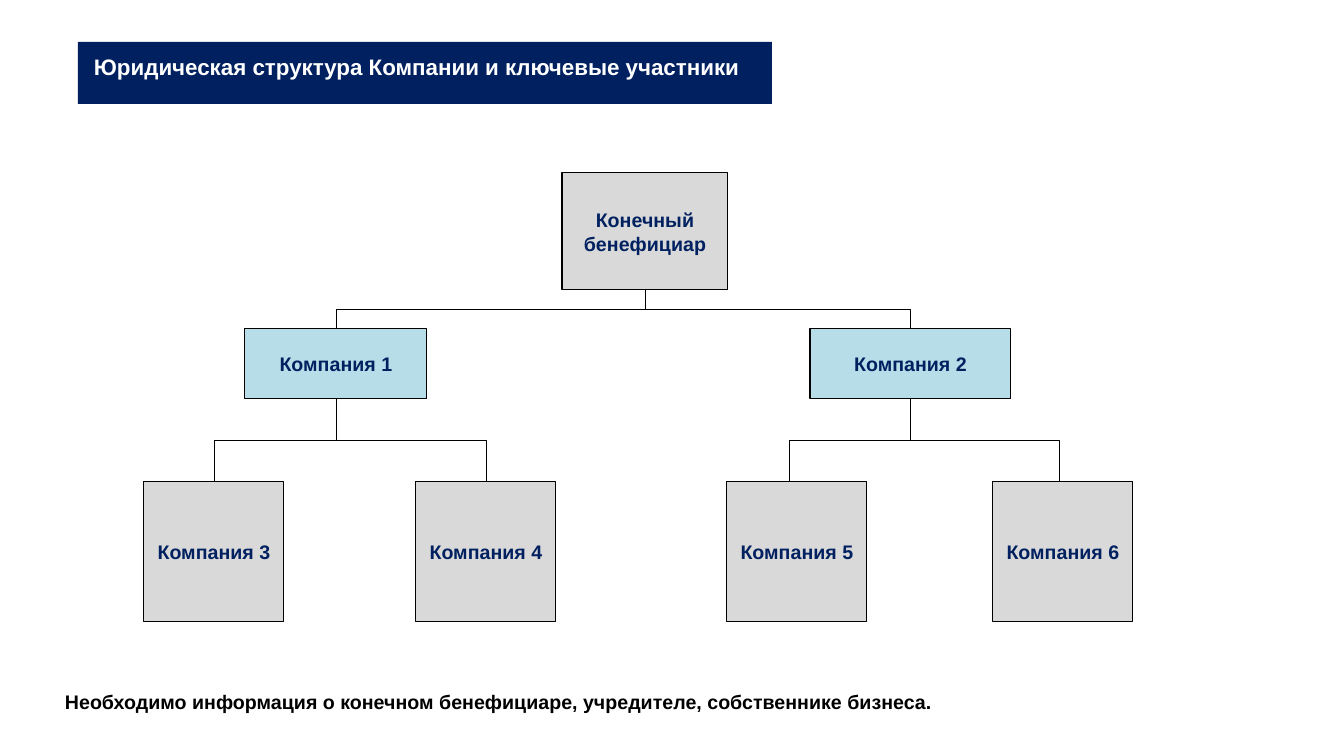
from dataclasses import dataclass

from lxml.etree import SubElement
from pptx import Presentation
from pptx.dml.color import RGBColor
from pptx.enum.shapes import MSO_CONNECTOR, MSO_SHAPE
from pptx.enum.text import MSO_ANCHOR, PP_ALIGN
from pptx.oxml.ns import qn
from pptx.util import Emu, Pt

PX_PER_INCH = 100.8
BOTTOM, TOP = 2, 0


@dataclass(frozen=True)
class Theme:
    font: str = "Arial"
    navy: RGBColor = RGBColor(0x00, 0x20, 0x60)
    grey: RGBColor = RGBColor(0xD9, 0xD9, 0xD9)
    blue: RGBColor = RGBColor(0xB7, 0xDE, 0xE8)
    white: RGBColor = RGBColor(0xFF, 0xFF, 0xFF)
    black: RGBColor = RGBColor(0x00, 0x00, 0x00)
    title_size: int = 16
    body_size: int = 14
    border: float = 0.75
    link: float = 0.5


THEME = Theme()


def px(length):
    return Emu(round(length * 914400 / PX_PER_INCH))


def write(frame, text, size, color, align=PP_ALIGN.LEFT):
    frame.word_wrap = True
    paragraph = frame.paragraphs[0]
    paragraph.text = text
    paragraph.alignment = align
    font = paragraph.font
    font.name = THEME.font
    font.size = Pt(size)
    font.bold = True
    font.color.rgb = color


def add_rectangle(slide, bounds, fill):
    rectangle = slide.shapes.add_shape(MSO_SHAPE.RECTANGLE, *map(px, bounds))
    rectangle.shadow.inherit = False
    rectangle.fill.solid()
    rectangle.fill.fore_color.rgb = fill
    rectangle.line.fill.background()
    return rectangle


def add_entity(slide, name, bounds, fill):
    entity = add_rectangle(slide, bounds, fill)
    entity.line.color.rgb = THEME.black
    entity.line.width = Pt(THEME.border)
    entity.text_frame.vertical_anchor = MSO_ANCHOR.MIDDLE
    write(entity.text_frame, name, THEME.body_size, THEME.navy, PP_ALIGN.CENTER)
    return entity


def add_label(slide, text, bounds, size, color):
    label = slide.shapes.add_textbox(*map(px, bounds))
    write(label.text_frame, text, size, color)
    return label


def add_ownership(slide, owner, owned, drop=None):
    start_x, start_y = owner.left + owner.width // 2, owner.top + owner.height
    end_x = owned.left + owned.width // 2 if drop is None else px(drop)
    end_y = owned.top
    link = slide.shapes.add_connector(
        MSO_CONNECTOR.ELBOW, start_x, start_y, end_x, end_y)
    link.line.color.rgb = THEME.black
    link.line.width = Pt(THEME.link)
    if drop is None:
        link.begin_connect(owner, BOTTOM)
        link.end_connect(owned, TOP)

    fall, reach = end_y - start_y, abs(end_x - start_x)
    link.left = Emu((start_x + end_x - fall) // 2)
    link.top = Emu((start_y + end_y - reach) // 2)
    link.width, link.height = Emu(fall), Emu(reach)
    properties = link._element.spPr
    transform = properties.find(qn("a:xfrm"))
    transform.attrib.pop("flipH", None)
    if end_x < start_x:
        transform.set("rot", str(90 * 60000))
    else:
        transform.set("rot", str(270 * 60000))
        transform.set("flipH", "1")
    SubElement(properties, qn("a:effectLst"))


def add_title(slide):
    add_rectangle(slide, (78, 42, 694, 62), THEME.navy)
    title = add_label(slide, "Юридическая структура Компании и ключевые участники",
                      (94, 51, 706, 28), THEME.title_size, THEME.white)
    frame = title.text_frame
    frame.margin_left = frame.margin_right = frame.margin_bottom = 0
    frame.margin_top = px(2)


def add_structure(slide):
    beneficiary = add_entity(
        slide, "Конечный бенефициар", (562, 173, 166, 117), THEME.grey)
    holdings = [
        (1, 245, 182, [(3, 144, None), (4, 416, None)]),
        (2, 810, 201, [(5, 727, 789), (6, 993, 1059)]),
    ]
    for number, left, width, subsidiaries in holdings:
        holding = add_entity(
            slide, f"Компания {number}", (left, 329, width, 70), THEME.blue)
        add_ownership(slide, beneficiary, holding)
        for sub_number, sub_left, drop in subsidiaries:
            subsidiary = add_entity(
                slide, f"Компания {sub_number}", (sub_left, 482, 140, 140), THEME.grey)
            add_ownership(slide, holding, subsidiary, drop)


def main():
    deck = Presentation()
    deck.slide_width, deck.slide_height = px(1344), px(756)
    slide = deck.slides.add_slide(deck.slide_layouts[6])
    add_title(slide)
    add_structure(slide)
    add_label(
        slide,
        "Необходимо информация о конечном бенефициаре, учредителе, собственнике бизнеса.",
        (55, 685, 967, 34), THEME.body_size, THEME.black)
    deck.save("out.pptx")


if __name__ == "__main__":
    main()
